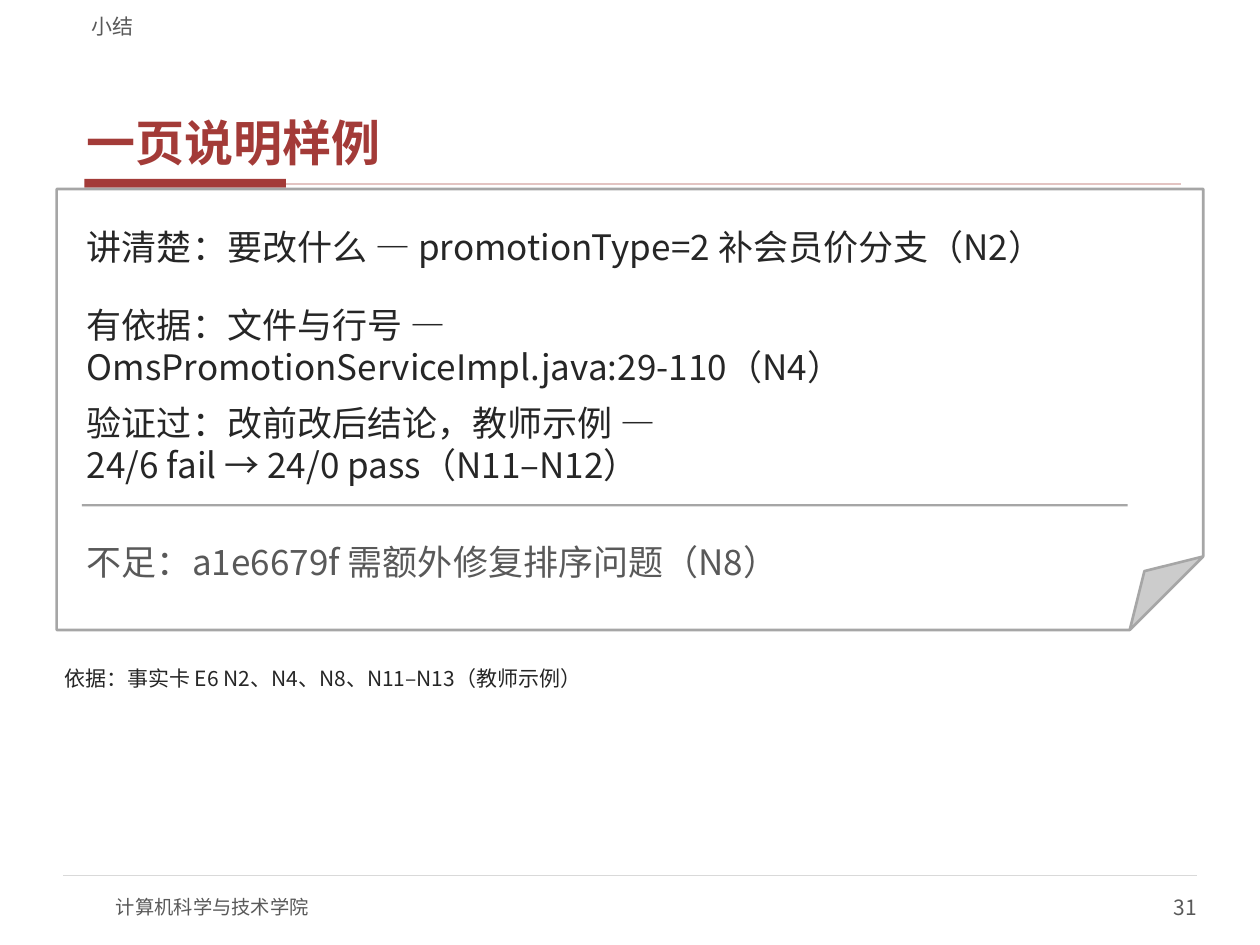
from pptx import Presentation
from pptx.dml.color import RGBColor
from pptx.enum.shapes import MSO_CONNECTOR, MSO_SHAPE
from pptx.enum.text import MSO_ANCHOR, MSO_AUTO_SIZE, PP_ALIGN
from pptx.oxml.ns import qn
from pptx.util import Inches, Pt
from lxml import etree

FONT = "Noto Sans CJK SC"
RED, PALE_RED = "A33B38", "E3C4C2"
INK, GREY, EDGE, RULE = "262626", "595959", "A6A6A6", "D9D9D9"
RECT, FOLDED = MSO_SHAPE.RECTANGLE, MSO_SHAPE.FOLDED_CORNER
STRAIGHT = MSO_CONNECTOR.STRAIGHT
TOP, MIDDLE, BOTTOM = MSO_ANCHOR.TOP, MSO_ANCHOR.MIDDLE, MSO_ANCHOR.BOTTOM
LEFT, RIGHT = PP_ALIGN.LEFT, PP_ALIGN.RIGHT
NO_FIT = MSO_AUTO_SIZE.NONE


def rgb(value):
    return RGBColor.from_string(value)


def write(sp, lines, size, color, anchor=MIDDLE, align=LEFT, inset=(0, 0), bold=False):
    tf = sp.text_frame
    tf.word_wrap, tf.auto_size, tf.vertical_anchor = True, NO_FIT, anchor
    tf.margin_left = tf.margin_right = Inches(inset[0])
    tf.margin_top = tf.margin_bottom = Inches(inset[1])
    p = tf.paragraphs[0]
    p.alignment, p.space_before = align, Pt(0)
    for i, line in enumerate(lines):
        if i:
            p.add_line_break()
        r = p.add_run()
        r.text = line
        r.font.size, r.font.bold, r.font.name = Pt(size), bold, FONT
        r.font.color.rgb = rgb(color)
        etree.SubElement(r.font._element, qn("a:ea")).set("typeface", FONT)
    return p


def add_text(s, x, y, w, h, lines, size, color, **style):
    sp = s.shapes.add_textbox(Inches(x), Inches(y), Inches(w), Inches(h))
    return write(sp, lines, size, color, **style)


def add_block(s, kind, x, y, w, h, fill, line=None):
    sp = s.shapes.add_shape(kind, Inches(x), Inches(y), Inches(w), Inches(h))
    sp.shadow.inherit = False
    sp.fill.solid()
    sp.fill.fore_color.rgb = rgb(fill)
    if line:
        sp.line.color.rgb = rgb(line)
        sp.line.width = Pt(1.5)
    else:
        sp.line.fill.background()


def add_rule(s, x, y, w, color, width):
    line = s.shapes.add_connector(STRAIGHT, Inches(x), Inches(y), Inches(x + w), Inches(y))
    line.line.color.rgb = rgb(color)
    line.line.width = Pt(width)
    etree.SubElement(line._element.spPr, qn("a:effectLst"))


def add_header(s, x, y, w):
    add_block(s, RECT, x + 0.04, y + 1.38, 1.6, 0.07, RED)
    add_rule(s, x + 1.64, y + 1.42, 7.1, PALE_RED, 1)
    add_text(s, x, y, w, 0.27, ["小结"], 12, GREY, anchor=BOTTOM, inset=(0.1, 0))
    title = s.shapes.title
    title.left, title.top = Inches(x), Inches(y + 0.29)
    title.width, title.height = Inches(w), Inches(1.05)
    p = write(title, ["一页说明样例"], 28, RED, anchor=BOTTOM, inset=(0.06, 0.02), bold=True)
    p.space_after = Pt(2)


def add_note_card(s, x, y, w, h):
    points = [
        ["讲清楚：要改什么 — promotionType=2 补会员价分支（N2）"],
        ["有依据：文件与行号 — ", "OmsPromotionServiceImpl.java:29-110（N4）"],
        ["验证过：改前改后结论，教师示例 — ", "24/6 fail → 24/0 pass（N11–N12）"],
    ]
    left, row_h, pitch, inset = x + 0.2, 0.72, 0.78, (0.04, 0.02)
    add_block(s, FOLDED, x, y, w, h, "FFFFFF", EDGE)
    for i, lines in enumerate(points):
        add_text(s, left, y + 0.1 + i * pitch, w - 0.6, row_h, lines, 20, INK, inset=inset)
    add_block(s, RECT, left, y + 2.5, w - 0.8, 0.02, EDGE)
    add_text(s, left, y + 2.6, w - 0.8, row_h,
             ["不足：a1e6679f 需额外修复排序问题（N8）"], 20, GREY, inset=inset)


def add_source(s, x, y, w, h):
    add_text(s, x, y, w, h, ["依据：事实卡 E6 N2、N4、N8、N11–N13（教师示例）"],
             12, INK, anchor=TOP, inset=(0.06, 0.02))


def add_footer(s, x, y, w):
    add_rule(s, x, y, w, RULE, 0.75)
    add_text(s, x + 0.42, y + 0.05, 4, 0.4, ["计算机科学与技术学院"], 11, GREY)
    add_text(s, x + w - 2, y + 0.05, 2, 0.4, ["31"], 12, GREY, align=RIGHT)


def main():
    prs = Presentation()
    prs.slide_width, prs.slide_height = Inches(10), Inches(7.5)
    s = prs.slides.add_slide(prs.slide_layouts[5])
    add_header(s, 0.63, 0.04, 8.75)
    add_note_card(s, 0.45, 1.5, 9.1, 3.5)
    add_source(s, 0.45, 5.26, 9.1, 0.5)
    add_footer(s, 0.5, 6.95, 9)
    prs.save("out.pptx")


if __name__ == "__main__":
    main()
